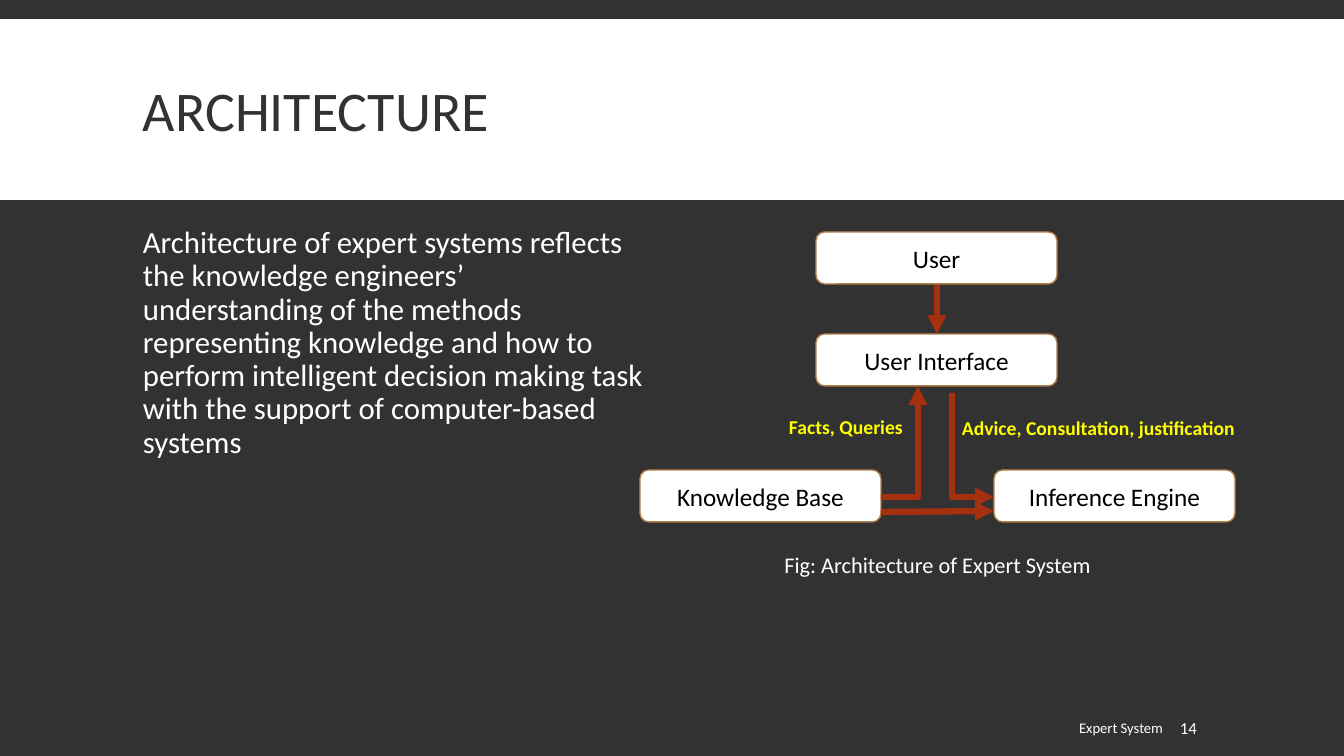
"""Build the expert system architecture slide."""
from dataclasses import dataclass

from lxml.etree import SubElement
from pptx import Presentation
from pptx.dml.color import RGBColor
from pptx.enum.shapes import MSO_CONNECTOR as Connector, MSO_SHAPE as Preset
from pptx.enum.text import MSO_ANCHOR as Anchor, PP_ALIGN as Align
from pptx.oxml.ns import qn
from pptx.util import Pt

EMU_PER_PX = 12192000 / 1344
FONT = "Calibri"
COLORS = {
    "dark": "323232",
    "white": "FFFFFF",
    "black": "000000",
    "border": "B27D49",
    "arrow": "A5300F",
    "label": "FFFF00",
}
BOX_WIDTH, BOX_HEIGHT = 241, 52


@dataclass(frozen=True)
class Box:
    text: str
    left: int
    top: int


@dataclass(frozen=True)
class Arrow:
    start: tuple[int, int]
    end: tuple[int, int]
    bent: bool = False
    head_at_start: bool = False


@dataclass(frozen=True)
class Label:
    text: str
    area: tuple[int, int, int, int]
    style: dict


FLOW_STYLE = {"size": 14, "color": "label", "bold": True}
BOXES = [
    Box("User", 816, 232),
    Box("Inference Engine", 994, 470),
    Box("Knowledge Base", 640, 470),
    Box("User Interface", 816, 334),
]
ARROWS = [
    Arrow((937, 285), (937, 334)),
    Arrow((881, 512), (994, 511)),
    Arrow((881, 497), (918, 386), bent=True),
    Arrow((994, 497), (952, 393), bent=True, head_at_start=True),
]
LABELS = [
    Label("ARCHITECTURE", (133, 31, 1079, 166),
          {"size": 40, "color": "dark", "anchor": Anchor.MIDDLE, "line_spacing": 0.85}),
    Label("Architecture of expert systems reflects the knowledge engineers’ "
          "understanding of the methods representing knowledge and how to perform "
          "intelligent decision making task with the support of computer-based systems",
          (133, 222, 524, 464),
          {"size": 22, "line_spacing": 0.9, "space_before": 12, "space_after": 2}),
    Label("Expert System", (617, 708, 556, 40),
          {"size": 10.5, "anchor": Anchor.MIDDLE, "align": Align.RIGHT}),
    Label("14", (1175, 708, 104, 40),
          {"size": 12, "anchor": Anchor.MIDDLE, "left_inset": 5}),
    Label("Advice, Consultation, justification", (952, 411, 317, 34), FLOW_STYLE),
    Label("Facts, Queries", (779, 410, 152, 34), FLOW_STYLE),
    Label("Fig: Architecture of Expert System", (640, 546, 595, 37),
          {"size": 16, "align": Align.CENTER}),
]


def px(length: int) -> int:
    return round(length * EMU_PER_PX)


def rgb(name: str) -> RGBColor:
    return RGBColor.from_string(COLORS[name])


def write_text(shape, text: str, *, size: float, color: str = "white", bold: bool = False,
               align=Align.LEFT, anchor=Anchor.TOP, line_spacing: float = 1.0,
               space_before: int = 0, space_after: int = 0, left_inset: int = 10) -> None:
    frame = shape.text_frame
    frame.word_wrap = True
    frame.vertical_anchor = anchor
    frame.margin_left = px(left_inset)
    paragraph = frame.paragraphs[0]
    paragraph.alignment = align
    paragraph.line_spacing = line_spacing
    paragraph.space_before = Pt(space_before)
    paragraph.space_after = Pt(space_after)
    run = paragraph.add_run()
    run.text = text
    run.font.name = FONT
    run.font.size = Pt(size)
    run.font.bold = bold
    run.font.color.rgb = rgb(color)


def add_panel(slide, preset, left: int, top: int, width: int, height: int):
    shape = slide.shapes.add_shape(preset, px(left), px(top), px(width), px(height))
    shape.shadow.inherit = False
    shape.fill.solid()
    shape.fill.fore_color.rgb = rgb("white")
    shape.line.fill.background()
    return shape


def add_box(slide, box: Box) -> None:
    shape = add_panel(slide, Preset.ROUNDED_RECTANGLE, box.left, box.top, BOX_WIDTH, BOX_HEIGHT)
    shape.line.color.rgb = rgb("border")
    shape.line.width = Pt(1)
    write_text(shape, box.text, size=18, color="black", align=Align.CENTER, anchor=Anchor.MIDDLE)


def add_arrow(slide, arrow: Arrow) -> None:
    kind = Connector.ELBOW if arrow.bent else Connector.STRAIGHT
    connector = slide.shapes.add_connector(kind, *map(px, arrow.start + arrow.end))
    connector.line.color.rgb = rgb("arrow")
    connector.line.width = Pt(4.5)
    properties = connector._element.spPr
    if arrow.bent:
        properties.find(qn("a:prstGeom")).set("prst", "bentConnector2")
    end_tag = "a:headEnd" if arrow.head_at_start else "a:tailEnd"
    SubElement(properties.find(qn("a:ln")), qn(end_tag), type="triangle")
    SubElement(properties, qn("a:effectLst"))


def add_label(slide, label: Label) -> None:
    shape = slide.shapes.add_textbox(*map(px, label.area))
    write_text(shape, label.text, **label.style)


def main() -> None:
    presentation = Presentation()
    presentation.slide_width, presentation.slide_height = px(1344), px(756)
    slide = presentation.slides.add_slide(presentation.slide_layouts[6])
    slide.background.fill.solid()
    slide.background.fill.fore_color.rgb = rgb("dark")
    add_panel(slide, Preset.RECTANGLE, 0, 19, 1344, 181)
    for box in BOXES:
        add_box(slide, box)
    for arrow in ARROWS:
        add_arrow(slide, arrow)
    for label in LABELS:
        add_label(slide, label)
    presentation.save("out.pptx")


if __name__ == "__main__":
    main()
